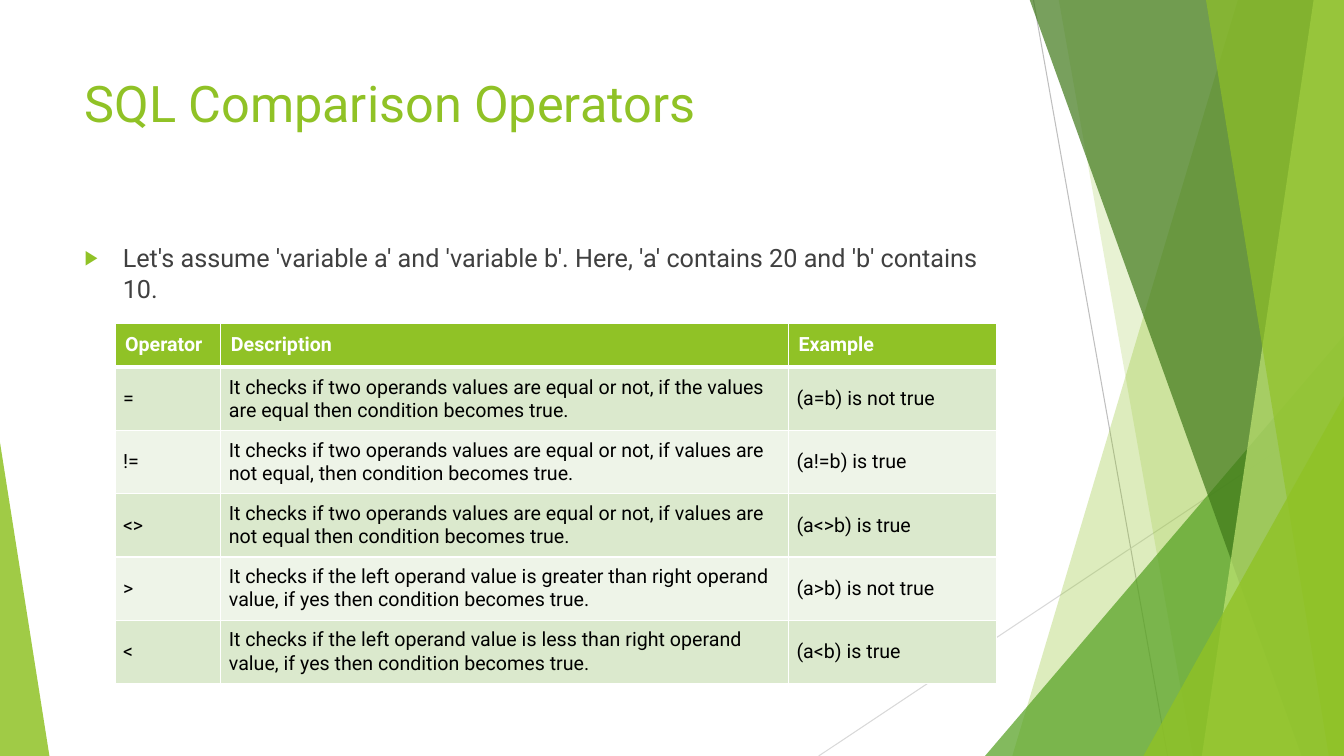
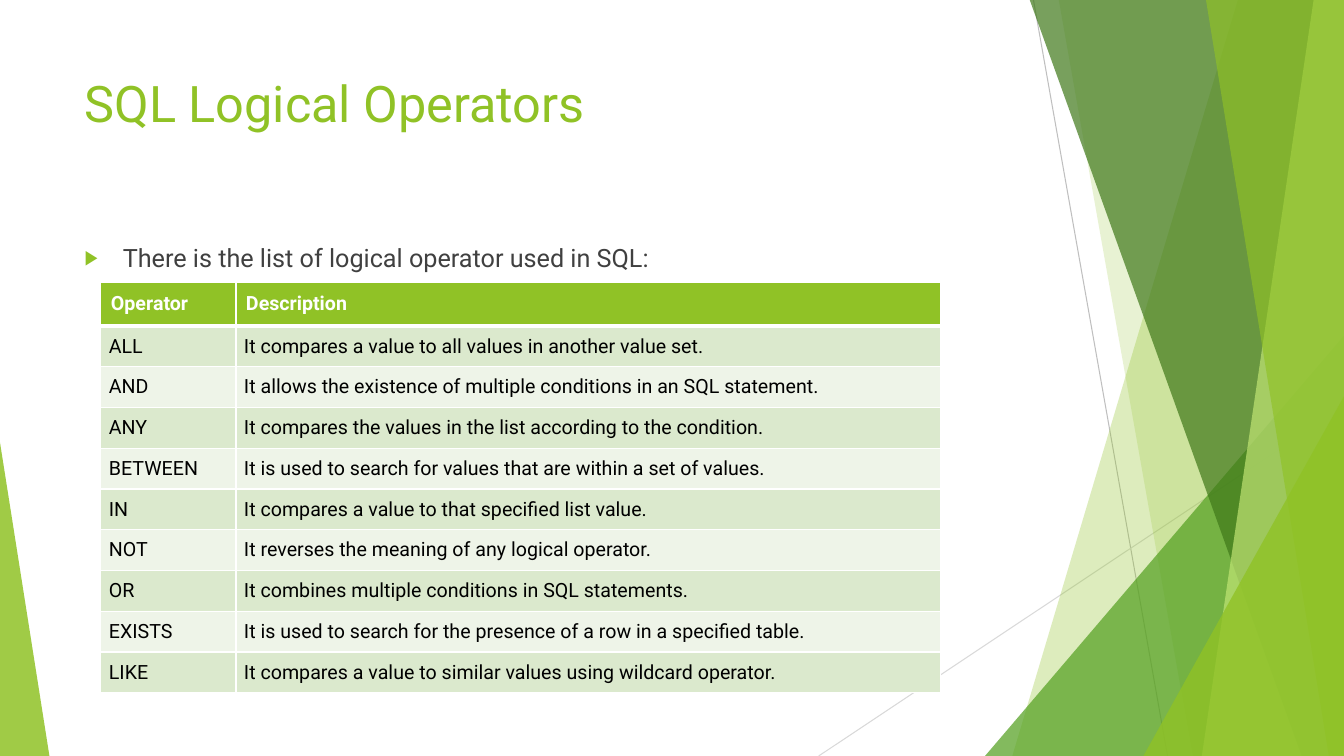
"""Build two slides on SQL operators, each with a lead sentence and a table."""
import pptx
import pptx.dml.color
import pptx.enum.shapes
import pptx.enum.text
import pptx.oxml
import pptx.oxml.ns
import pptx.util
from lxml import etree

Inches, Pt = pptx.util.Inches, pptx.util.Pt
SHAPE = pptx.enum.shapes.MSO_SHAPE
ANCHOR = pptx.enum.text.MSO_ANCHOR
qn = pptx.oxml.ns.qn

FONT = "Roboto"
WIDTH, HEIGHT = 13.33, 7.5
GREEN, GRASS, FOREST, LIME = "90C226", "54A021", "3F7819", "C0E474"
WHITE, BLACK, GREY = "FFFFFF", "000000", "404040"
BANDS = ("DBE9CD", "EEF4E8")
HEADER_HEIGHT = 0.43

SLIDES = [
    {
        "title": "SQL Comparison Operators",
        "lead": "Let's assume 'variable a' and 'variable b'. "
                "Here, 'a' contains 20 and 'b' contains 10.",
        "at": (1.14, 3.21),
        "height": 3.56,
        "columns": (1.05, 5.63, 2.06),
        "rows": [
            ("Operator", "Description", "Example"),
            ("=", "It checks if two operands values are equal or not, "
                  "if the values are equal then condition becomes true.", "(a=b) is not true"),
            ("!=", "It checks if two operands values are equal or not, "
                   "if values are not equal, then condition becomes true.", "(a!=b) is true"),
            ("<>", "It checks if two operands values are equal or not, "
                   "if values are not equal then condition becomes true.", "(a<>b) is true"),
            (">", "It checks if the left operand value is greater than right operand value, "
                  "if yes then condition becomes true.", "(a>b) is not true"),
            ("<", "It checks if the left operand value is less than right operand value, "
                  "if yes then condition becomes true.", "(a<b) is true"),
        ],
    },
    {
        "title": "SQL Logical Operators",
        "lead": "There is the list of logical operator used in SQL:",
        "at": (1, 2.8),
        "height": 4.07,
        "columns": (1.34, 6.99),
        "rows": [
            ("Operator", "Description"),
            ("ALL", "It compares a value to all values in another value set."),
            ("AND", "It allows the existence of multiple conditions in an SQL statement."),
            ("ANY", "It compares the values in the list according to the condition."),
            ("BETWEEN", "It is used to search for values that are within a set of values."),
            ("IN", "It compares a value to that specified list value."),
            ("NOT", "It reverses the meaning of any logical operator."),
            ("OR", "It combines multiple conditions in SQL statements."),
            ("EXISTS", "It is used to search for the presence of a row in a specified table."),
            ("LIKE", "It compares a value to similar values using wildcard operator."),
        ],
    },
]

LINES = [
    ((10.25, 0), (11.58, HEIGHT), "BFBFBF"),
    ((WIDTH, 4.03), (8.12, HEIGHT), "D9D9D9"),
]
# kind, then top-left and bottom-left x of a band, or left, top, width and tip of a triangle
FACETS = [
    ("band", (12.28, 10.04), GREEN, 30),
    ("band", (10.5, 11.83), GREEN, 20),
    ("triangle", (9.77, 3.33, 3.56, 1), GRASS, 72),
    ("band", (10.21, 12.91), FOREST, 70),
    ("band", (13.03, 11.92), LIME, 70),
    ("band", (11.96, 13.18), GREEN, 65),
    ("triangle", (11.34, 3.93, 1.99, 1), GREEN, 80),
    ("triangle", (0, 4.39, 0.49, 0), GREEN, 85),
]


def color(value):
    return pptx.dml.color.RGBColor.from_string(value)


def style(p, size, value, bold=False):
    for r in p.runs:
        r.font.name, r.font.size, r.font.bold = FONT, Pt(size), bold
        r.font.color.rgb = color(value)


def add_line(s, start, end, value):
    line = s.shapes.add_connector(pptx.enum.shapes.MSO_CONNECTOR.STRAIGHT,
                                  *map(Inches, start + end))
    line.line.color.rgb = color(value)
    line.line.width = Pt(0.75)
    etree.SubElement(line._element.spPr, qn("a:effectLst"))


def add_band(s, top_x, bottom_x):
    corners = [(top_x, -0.01), (WIDTH, -0.01), (WIDTH, HEIGHT), (bottom_x, HEIGHT)]
    points = [(Inches(x), Inches(y)) for x, y in corners]
    builder = s.shapes.build_freeform(*points[0])
    builder.add_line_segments(points[1:])
    return builder.convert_to_shape()


def add_triangle(s, left, top, width, tip):
    sp = s.shapes.add_shape(SHAPE.ISOSCELES_TRIANGLE,
                            *map(Inches, (left, top, width, HEIGHT - top)))
    sp.adjustments[0] = tip
    return sp


def add_backdrop(s):
    for line in LINES:
        add_line(s, *line)
    for kind, geometry, value, opacity in FACETS:
        sp = (add_band if kind == "band" else add_triangle)(s, *geometry)
        sp.shadow.inherit = False
        sp.line.fill.background()
        sp.fill.solid()
        sp.fill.fore_color.rgb = color(value)
        clr = sp._element.spPr.find(qn("a:solidFill")).find(qn("a:srgbClr"))
        etree.SubElement(clr, qn("a:alpha"), val=str(opacity * 1000))


def add_text(s, text, top, height, size, value):
    tf = s.shapes.add_textbox(*map(Inches, (0.74, top, 9.4, height))).text_frame
    tf.word_wrap = True
    p = tf.paragraphs[0]
    p.text = text
    style(p, size, value)
    return p


def add_bullet(p):
    pPr = p._p.get_or_add_pPr()
    pPr.set("marL", str(Inches(0.38)))
    pPr.set("indent", str(-Inches(0.38)))
    clr = etree.SubElement(pPr, qn("a:buClr"))
    etree.SubElement(clr, qn("a:srgbClr"), val=GREEN)
    etree.SubElement(pPr, qn("a:buSzPct"), val="80000")
    etree.SubElement(pPr, qn("a:buFont"), typeface=FONT)
    etree.SubElement(pPr, qn("a:buChar"), char="▶")


def add_borders(cell, row):
    thick = {0: "lnB", 1: "lnT"}.get(row)
    tcPr = cell._tc.get_or_add_tcPr()
    for side in ("lnL", "lnR", "lnT", "lnB"):
        ln = etree.SubElement(tcPr, qn("a:" + side), w=str(Pt(3 if side == thick else 1)))
        fill = etree.SubElement(ln, qn("a:solidFill"))
        etree.SubElement(fill, qn("a:srgbClr"), val=WHITE)


def fill_cell(cell, text, row):
    header = row == 0
    cell.text = text
    style(cell.text_frame.paragraphs[0], 14, WHITE if header else BLACK, header)
    inset = Inches(0.1 if header else 0.08)
    cell.margin_left = cell.margin_right = cell.margin_top = cell.margin_bottom = inset
    cell.vertical_anchor = ANCHOR.TOP if header else ANCHOR.MIDDLE
    add_borders(cell, row)
    cell.fill.solid()
    cell.fill.fore_color.rgb = color(GREEN if header else BANDS[(row - 1) % 2])


def add_operator_table(s, at, height, columns, rows):
    table = s.shapes.add_table(len(rows), len(columns),
                               *map(Inches, (*at, sum(columns), height))).table
    for column, width in zip(table.columns, columns):
        column.width = Inches(width)
    body_height = (height - HEADER_HEIGHT) / (len(rows) - 1)
    for i, texts in enumerate(rows):
        table.rows[i].height = Inches(body_height if i else HEADER_HEIGHT)
        for j, text in enumerate(texts):
            fill_cell(table.cell(i, j), text, i)


def main():
    prs = pptx.Presentation()
    prs.slide_width, prs.slide_height = Inches(WIDTH), Inches(HEIGHT)
    for content in SLIDES:
        s = prs.slides.add_slide(prs.slide_layouts[6])
        add_backdrop(s)
        add_text(s, content["title"], 0.67, 1.44, 36, GREEN)
        add_bullet(add_text(s, content["lead"], 2.36, 4.24, 18, GREY))
        add_operator_table(s, content["at"], content["height"],
                           content["columns"], content["rows"])
    prs.save("out.pptx")


if __name__ == "__main__":
    main()
